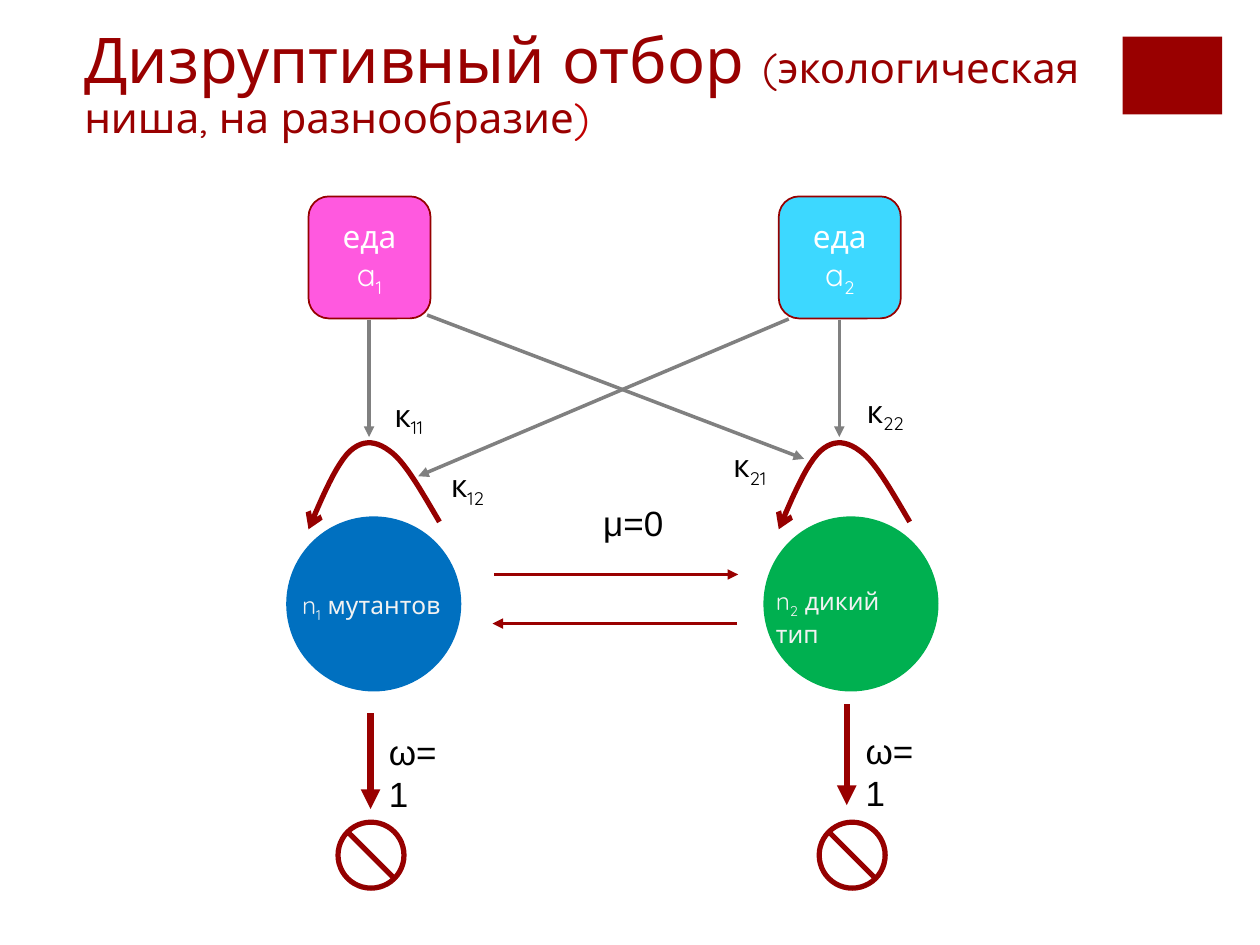
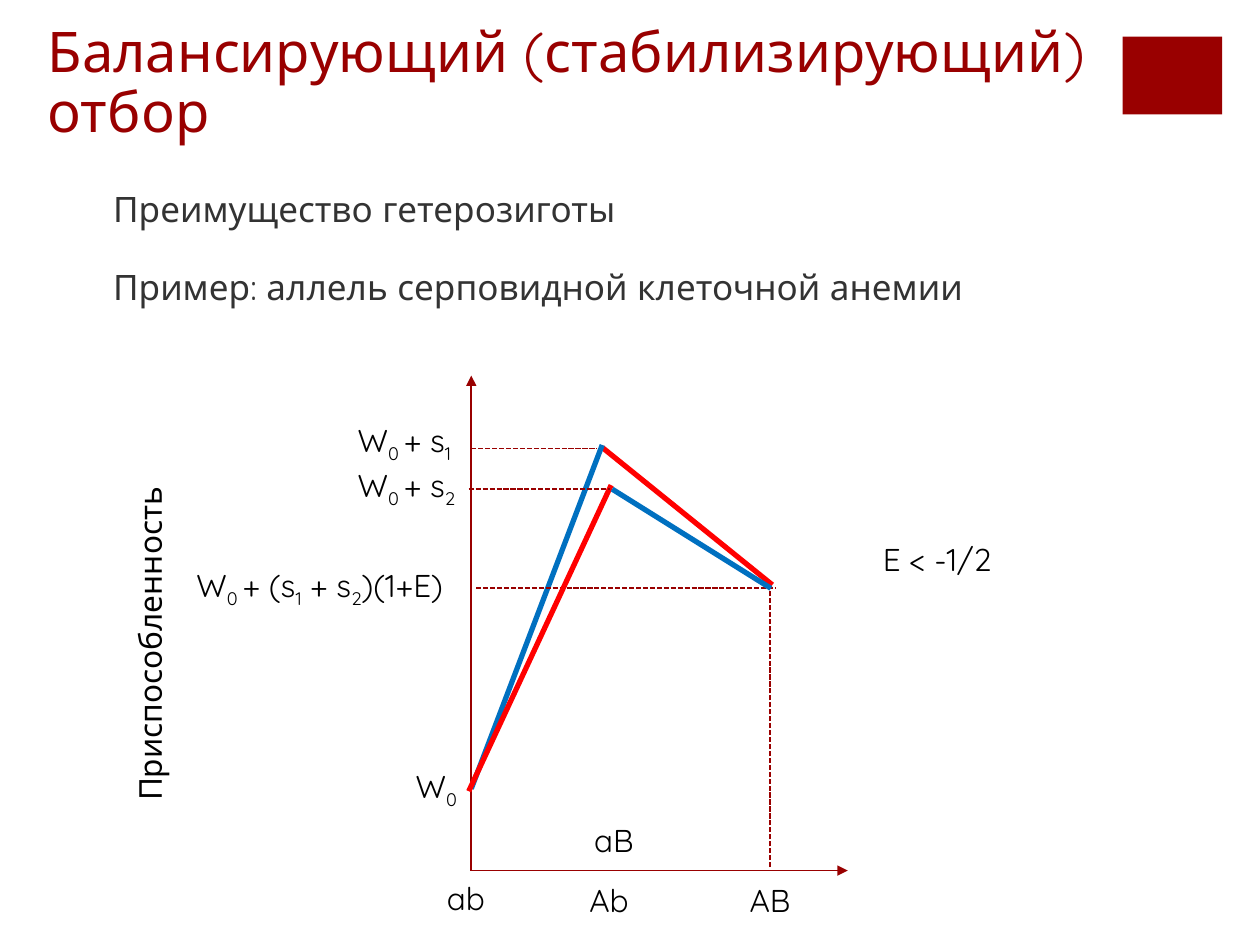
from dataclasses import dataclass

from lxml import etree
from pptx import Presentation
from pptx import util as u
from pptx.dml.color import RGBColor
from pptx.enum import dml, shapes, text
from pptx.oxml import ns

DARK_RED = RGBColor(0x99, 0x00, 0x00)
OUTLINE_RED = RGBColor(0x96, 0x00, 0x00)
SHADE_RED = RGBColor(0x83, 0x00, 0x00)
BRACKET_RED = RGBColor(0xC0, 0x00, 0x00)
RED = RGBColor(0xFF, 0x00, 0x00)
BLUE = RGBColor(0x00, 0x70, 0xC0)
GREEN = RGBColor(0x00, 0xB0, 0x50)
PINK = RGBColor(0xFF, 0x59, 0xDF)
CYAN = RGBColor(0x3D, 0xD8, 0xFF)
GRAY = RGBColor(0x80, 0x80, 0x80)
CHARCOAL = RGBColor(0x33, 0x33, 0x33)
PALE = RGBColor(0xF2, 0xF2, 0xF2)
WHITE = RGBColor(0xFF, 0xFF, 0xFF)
BLACK = RGBColor(0x00, 0x00, 0x00)
MAIN_FONT = "Quicksand"
GREEK_FONT = "Arial"
LINE_SPACING = 0.9
CURVE_STEPS = 12


@dataclass(frozen=True)
class Span:
    words: str
    size: float = 18
    color: RGBColor = BLACK
    font: str = MAIN_FONT
    subscript: bool = False


@dataclass(frozen=True)
class Label:
    markup: str
    left: float
    top: float
    width: float
    height: float = 1.02
    size: float = 18
    color: RGBColor = BLACK
    font: str = MAIN_FONT
    wrap: bool = False
    rotation: float = 0


@dataclass(frozen=True)
class Line:
    start: tuple[float, float]
    end: tuple[float, float]
    color: RGBColor = DARK_RED
    weight: float = 1
    arrow: bool = False
    dashed: bool = False


@dataclass(frozen=True)
class Niche:
    food: str
    food_color: RGBColor
    food_left: float
    circle_color: RGBColor
    circle_left: float
    ban_left: float
    death: Line


NICHES = (
    Niche("еда a|1", PINK, 6.22, BLUE, 5.77, 6.78,
          Line((7.47, 14.38), (7.47, 16.31), weight=3.75, arrow=True)),
    Niche("еда a|2", CYAN, 15.7, GREEN, 15.39, 16.48,
          Line((17.07, 14.2), (17.07, 16.23), weight=3.75, arrow=True)),
)
LOOP_START = (0, 10.67)
LOOP_CURVES = (
    ((0.28, 10.01), (0.56, 9.35), (0.84, 9.09)),
    ((1.12, 8.84), (1.4, 8.89), (1.7, 9.14)),
    ((1.98, 9.37), (2.31, 9.96), (2.64, 10.52)),
)
NICHE_LINES = (
    Line((9.96, 11.58), (14.88, 11.58), weight=2, arrow=True),
    Line((14.86, 12.57), (9.93, 12.57), weight=2, arrow=True),
    Line((15.9, 6.43), (8.43, 9.6), GRAY, 2, True),
    Line((8.61, 6.35), (16.21, 9.25), GRAY, 2, True),
)
NICHE_LABELS = (
    Label("μ=0", 11.91, 9.98, 1.85, 1.12, 20, font=GREEK_FONT),
    Label("n|1| мутантов", 5.84, 11.76, 3.43, 0.86, 14, PALE),
    Label("n|2| дикий тип", 15.39, 11.68, 3.3, 0.86, 14, PALE, wrap=True),
    Label("ω=1", 17.2, 14.58, 1.78, 1.12, 20, font=GREEK_FONT, wrap=True),
    Label("ω=1", 7.59, 14.6, 1.78, 1.12, 20, font=GREEK_FONT, wrap=True),
    Label("к|11", 7.7, 7.85, 1.3),
    Label("к|22", 17.22, 7.77, 1.3),
    Label("к|12", 8.84, 9.27, 1.3),
    Label("к|21", 14.53, 8.86, 1.3),
)
FITNESS_LINES = (
    Line((9.5, 17.55), (9.5, 7.57), arrow=True),
    Line((9.5, 17.55), (17.09, 17.55), arrow=True),
    Line((12.14, 9.02), (15.57, 11.79), RED, 3),
    Line((9.5, 15.9), (12.14, 8.97), BLUE, 3),
    Line((9.5, 9.04), (12.04, 9.04), dashed=True),
    Line((9.6, 11.86), (15.65, 11.86), dashed=True),
    Line((15.52, 17.48), (15.52, 11.79), dashed=True),
    Line((9.45, 15.95), (12.32, 9.78), RED, 3),
    Line((12.34, 9.86), (15.54, 11.86), BLUE, 3),
    Line((9.45, 9.86), (12.29, 9.86), dashed=True),
)
FITNESS_LABELS = (
    Label("AB", 14.86, 17.63, 1.37),
    Label("Ab", 11.63, 17.63, 3.1, wrap=True),
    Label("ab", 8.76, 17.6, 3.1, wrap=True),
    Label("aB", 11.73, 16.43, 3.1, wrap=True),
    Label("W|0", 8.13, 15.34, 1.73),
    Label("W|0 |+ s|1", 6.96, 8.36, 2.54),
    Label("W|0 |+ s|2", 6.96, 9.27, 2.54),
    Label("W|0 |+ (s|1| + s|2|)(1+E)", 3.71, 11.28, 5.79),
    Label("E < -1/2", 17.55, 10.77, 2.87, wrap=True),
    Label("Приспособленность", -0.58, 12.29, 7.19, rotation=270),
)


def parse_spans(markup: str, size: float, color: RGBColor, font: str = MAIN_FONT) -> list[Span]:
    return [Span(words, size, color, font, index % 2 == 1)
            for index, words in enumerate(markup.split("|"))]


def write_spans(para, spans: list[Span]) -> None:
    for span in spans:
        run = para.add_run()
        run.text = span.words
        run.font.size = u.Pt(span.size)
        run.font.name = span.font
        run.font.color.rgb = span.color
        if span.subscript:
            run.font._element.set("baseline", "-25000")


def add_box(page, left: float, top: float, width: float, height: float):
    box = page.shapes.add_textbox(u.Cm(left), u.Cm(top), u.Cm(width), u.Cm(height))
    box.text_frame.word_wrap = True
    return box


def add_label(page, label: Label) -> None:
    box = add_box(page, label.left, label.top, label.width, label.height)
    box.rotation = label.rotation
    box.text_frame.word_wrap = label.wrap
    box.text_frame.auto_size = text.MSO_AUTO_SIZE.SHAPE_TO_FIT_TEXT
    write_spans(box.text_frame.paragraphs[0],
                parse_spans(label.markup, label.size, label.color, label.font))


def add_figure(page, kind, left: float, top: float, width: float, height: float,
               fill: RGBColor, outline: RGBColor | None = None):
    figure = page.shapes.add_shape(kind, u.Cm(left), u.Cm(top), u.Cm(width), u.Cm(height))
    figure.shadow.inherit = False
    figure.fill.solid()
    figure.fill.fore_color.rgb = fill
    if outline is None:
        figure.line.fill.background()
    else:
        figure.line.color.rgb = outline
        figure.line.width = u.Pt(1)
    return figure


def add_arrowhead(line, end: str, kind: str) -> None:
    etree.SubElement(line._get_or_add_ln(), ns.qn(f"a:{end}")).set("type", kind)


def add_line(page, line: Line) -> None:
    points = [u.Cm(value) for value in (*line.start, *line.end)]
    connector = page.shapes.add_connector(shapes.MSO_CONNECTOR.STRAIGHT, *points)
    connector.line.color.rgb = line.color
    connector.line.width = u.Pt(line.weight)
    if line.dashed:
        connector.line.dash_style = dml.MSO_LINE.SQUARE_DOT
    if line.arrow:
        add_arrowhead(connector.line, "tailEnd", "triangle")
    etree.SubElement(connector._element.spPr, ns.qn("a:effectLst"))


def bezier_point(knots, t: float) -> tuple[float, float]:
    weights = ((1 - t) ** 3, 3 * t * (1 - t) ** 2, 3 * t ** 2 * (1 - t), t ** 3)
    x, y = (sum(w * k[axis] for w, k in zip(weights, knots)) for axis in (0, 1))
    return x, y


def add_loop(page, left: float) -> None:
    points = [LOOP_START]
    for curve in LOOP_CURVES:
        knots = (points[-1], *curve)
        points += [bezier_point(knots, step / CURVE_STEPS) for step in range(1, CURVE_STEPS + 1)]
    vertices = [(u.Cm(left + x), u.Cm(y)) for x, y in points]
    builder = page.shapes.build_freeform(*vertices[0])
    builder.add_line_segments(vertices[1:], close=False)
    loop = builder.convert_to_shape()
    loop.shadow.inherit = False
    loop.fill.background()
    loop.line.color.rgb = OUTLINE_RED
    loop.line.width = u.Pt(3)
    add_arrowhead(loop.line, "headEnd", "arrow")


def add_ban(page, left: float) -> None:
    ban = add_figure(page, shapes.MSO_SHAPE.NO_SYMBOL, left, 16.54, 1.4, 1.4,
                     DARK_RED, OUTLINE_RED)
    ban.adjustments[0] = 0.05
    ban.fill.gradient()
    ban.fill.gradient_angle = 90
    for stop, color, position in zip(ban.fill.gradient_stops, (SHADE_RED, DARK_RED), (0, 0.35)):
        stop.color.rgb = color
        stop.position = position


def add_niche(page, niche: Niche) -> None:
    add_figure(page, shapes.MSO_SHAPE.OVAL, niche.circle_left, 10.41, 3.53, 3.53,
               niche.circle_color)
    add_loop(page, niche.food_left)
    add_line(page, niche.death)
    add_ban(page, niche.ban_left)
    food = add_figure(page, shapes.MSO_SHAPE.ROUNDED_RECTANGLE, niche.food_left, 3.96, 2.46, 2.46,
                      niche.food_color, OUTLINE_RED)
    food.text_frame.word_wrap = True
    food.text_frame.vertical_anchor = text.MSO_ANCHOR.MIDDLE
    para = food.text_frame.paragraphs[0]
    para.alignment = text.PP_ALIGN.CENTER
    write_spans(para, parse_spans(niche.food, 18, WHITE))
    middle = niche.food_left + 1.22
    add_line(page, Line((middle, 6.45), (middle, 8.81), GRAY, 2, True))


def add_page(deck, left: float, top: float, width: float, title: list[Span]):
    page = deck.slides.add_slide(deck.slide_layouts[6])
    add_figure(page, shapes.MSO_SHAPE.RECTANGLE, 22.63, 0.74, 2.01, 1.57, DARK_RED)
    box = add_box(page, left, top, width, 3.18)
    box.text_frame.vertical_anchor = text.MSO_ANCHOR.BOTTOM
    para = box.text_frame.paragraphs[0]
    para.line_spacing = LINE_SPACING
    write_spans(para, title)
    return page


def add_diagram(page, lines: tuple[Line, ...], labels: tuple[Label, ...]) -> None:
    for line in lines:
        add_line(page, line)
    for label in labels:
        add_label(page, label)


def build_disruptive(deck) -> None:
    page = add_page(deck, 1.45, -0.18, 20.9, [
        Span("Дизруптивный отбор ", 36, DARK_RED),
        Span("(экологическая ниша, на разнообразие", 24, DARK_RED),
        Span(")", 24, BRACKET_RED),
    ])
    for niche in NICHES:
        add_niche(page, niche)
    add_diagram(page, NICHE_LINES, NICHE_LABELS)


def build_balancing(deck) -> None:
    page = add_page(deck, 0.71, -0.13, 21.87,
                    [Span("Балансирующий (стабилизирующий) отбор", 32, DARK_RED)])
    frame = add_box(page, 2.03, 3.76, 18.08, 4.29).text_frame
    first, second = frame.paragraphs[0], frame.add_paragraph()
    second.space_before = u.Pt(23)
    for para, words in ((first, "Преимущество гетерозиготы"),
                        (second, "Пример: аллель серповидной клеточной анемии")):
        para.line_spacing = LINE_SPACING
        write_spans(para, [Span(words, 20, CHARCOAL)])
    add_diagram(page, FITNESS_LINES, FITNESS_LABELS)


def main() -> None:
    deck = Presentation()
    deck.slide_width = u.Cm(25.4)
    deck.slide_height = u.Cm(19.05)
    build_disruptive(deck)
    build_balancing(deck)
    deck.save("out.pptx")


if __name__ == "__main__":
    main()
